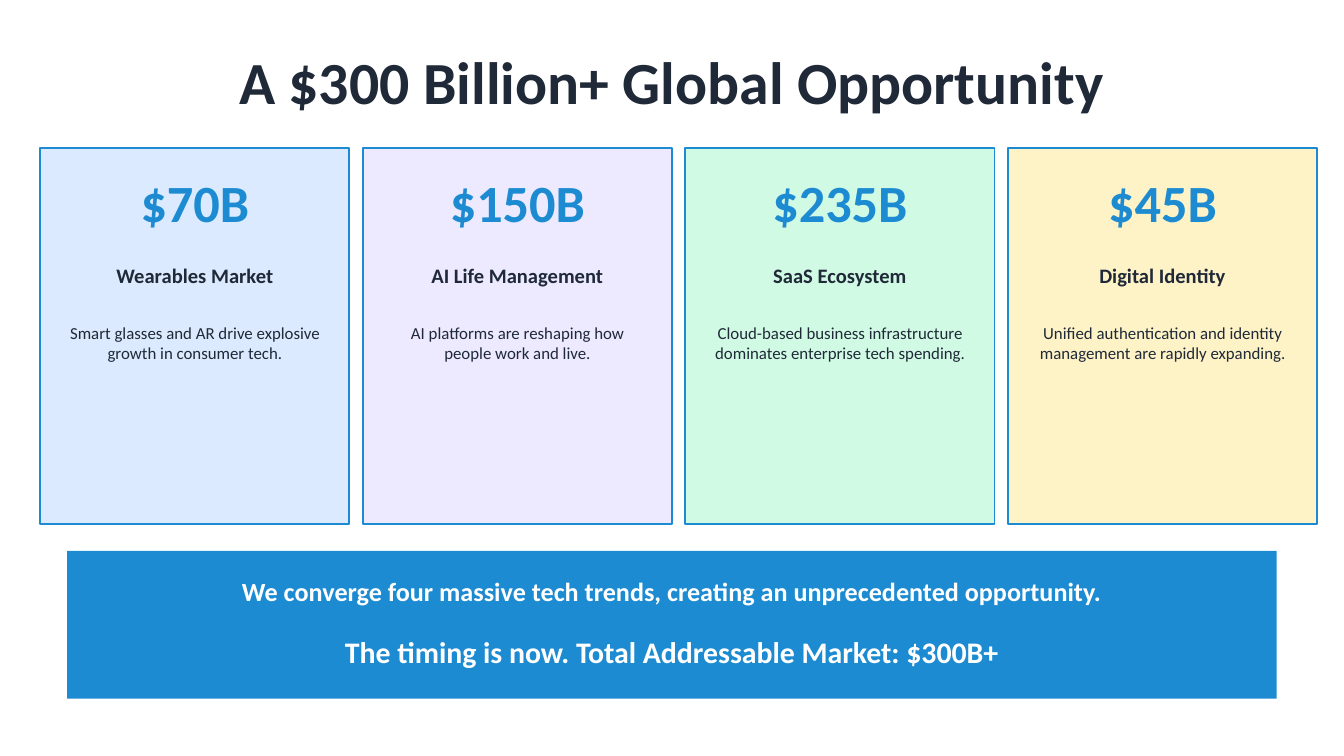
from pptx import Presentation
from pptx.dml.color import RGBColor
from pptx.enum.shapes import MSO_SHAPE
from pptx.enum.text import MSO_ANCHOR, PP_ALIGN
from pptx.util import Inches, Pt

RECT = MSO_SHAPE.RECTANGLE
TOP, MIDDLE = MSO_ANCHOR.TOP, MSO_ANCHOR.MIDDLE
CENTER = PP_ALIGN.CENTER

WHITE = RGBColor(0xFF, 0xFF, 0xFF)
DARK = RGBColor(0x1F, 0x29, 0x37)
BLUE = RGBColor(0x1D, 0x8B, 0xD1)
SKY = RGBColor(0xDB, 0xEA, 0xFE)
LILAC = RGBColor(0xED, 0xE9, 0xFE)
MINT = RGBColor(0xD1, 0xFA, 0xE5)
CREAM = RGBColor(0xFE, 0xF3, 0xC7)

MARKETS = [
    ("$70B", "Wearables Market",
     "Smart glasses and AR drive explosive growth in consumer tech.", SKY),
    ("$150B", "AI Life Management",
     "AI platforms are reshaping how people work and live.", LILAC),
    ("$235B", "SaaS Ecosystem",
     "Cloud-based business infrastructure dominates enterprise tech spending.", MINT),
    ("$45B", "Digital Identity",
     "Unified authentication and identity management are rapidly expanding.", CREAM),
]


def add_text(slide, text, x, y, w, h, size, color, bold=True, anchor=MIDDLE):
    box = slide.shapes.add_textbox(Inches(x), Inches(y), Inches(w), Inches(h))
    frame = box.text_frame
    frame.word_wrap = True
    frame.vertical_anchor = anchor
    para = frame.paragraphs[0]
    para.text = text
    para.alignment = CENTER
    font = para.font
    font.name = "Calibri"
    font.size = Pt(size)
    font.bold = bold
    font.color.rgb = color


def add_panel(slide, x, y, w, h, fill, line=None):
    panel = slide.shapes.add_shape(RECT, Inches(x), Inches(y), Inches(w), Inches(h))
    panel.shadow.inherit = False
    panel.fill.solid()
    panel.fill.fore_color.rgb = fill
    if line is None:
        panel.line.fill.background()
    else:
        panel.line.color.rgb = line
        panel.line.width = Pt(1)


def add_card(slide, x, y, w, h, market):
    value, name, note, fill = market
    pad = 0.1
    left, inner = x + pad, w - 2 * pad
    add_panel(slide, x, y, w, h, fill, BLUE)
    add_text(slide, value, left, y + pad, inner, 0.6, 28, BLUE)
    add_text(slide, name, left, y + 0.7, inner, 0.5, 11, DARK)
    add_text(slide, note, left, y + 1.25, inner, 1.4, 9, DARK, False, TOP)


def add_cards(slide, x, y, w, h):
    gap = 0.1
    count = len(MARKETS)
    width = (w - gap * (count - 1)) / count
    for i, market in enumerate(MARKETS):
        add_card(slide, x + i * (width + gap), y, width, h, market)


def add_banner(slide, x, y, w, h):
    pad = 0.2
    left, inner = x + pad, w - 2 * pad
    add_panel(slide, x, y, w, h, BLUE)
    add_text(slide, "We converge four massive tech trends, creating an "
             "unprecedented opportunity.", left, y + 0.1, inner, 0.4, 14, WHITE)
    add_text(slide, "The timing is now. Total Addressable Market: $300B+",
             left, y + 0.55, inner, 0.4, 16, WHITE)


def main():
    deck = Presentation()
    deck.slide_width = Inches(10)
    deck.slide_height = Inches(10 * 9 / 16)
    slide = deck.slides.add_slide(deck.slide_layouts[6])
    slide.background.fill.solid()
    slide.background.fill.fore_color.rgb = WHITE
    add_text(slide, "A $300 Billion+ Global Opportunity", 0.5, 0.3, 9, 0.6, 32, DARK)
    add_cards(slide, 0.3, 1.1, 9.5, 2.8)
    add_banner(slide, 0.5, 4.1, 9, 1.1)
    deck.save("out.pptx")


if __name__ == "__main__":
    main()
